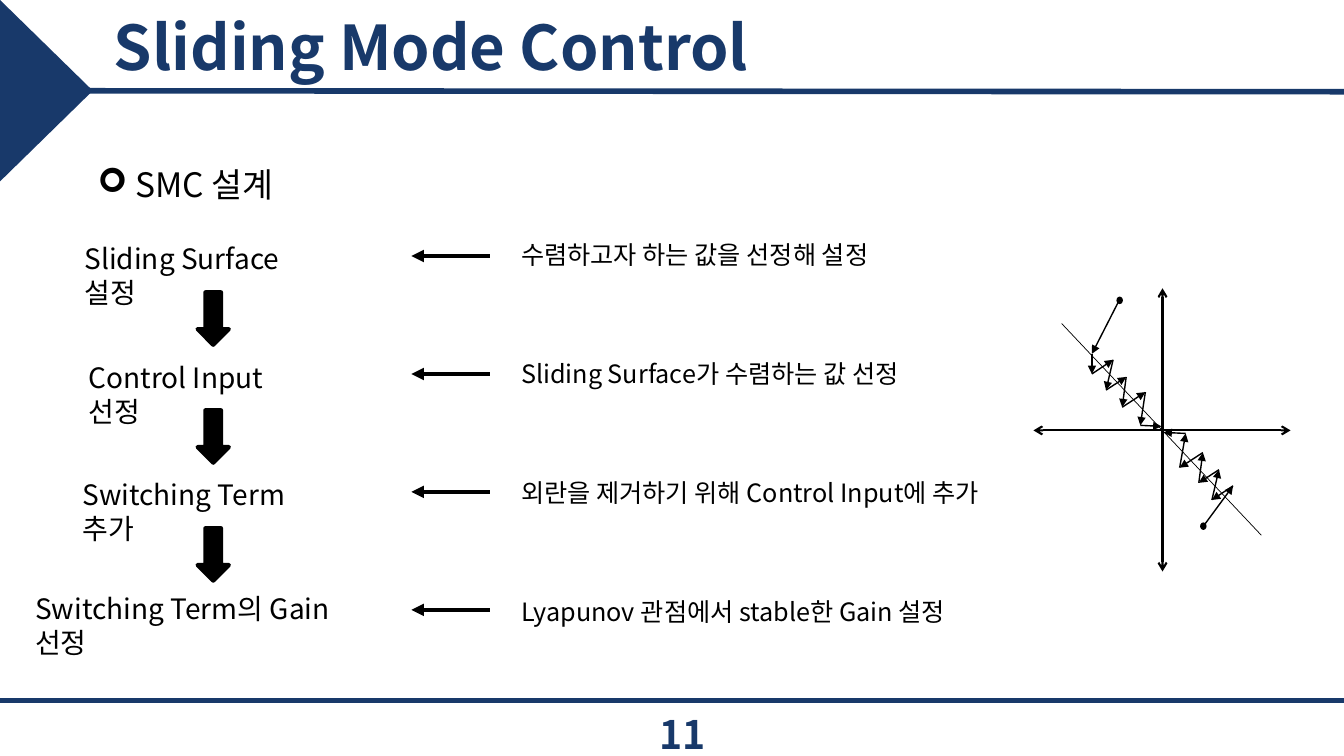
"""Builds the Sliding Mode Control design slide."""
from itertools import pairwise

from lxml import etree
from pptx import Presentation
from pptx import util as u
from pptx.dml.color import RGBColor
from pptx.enum import shapes, text
from pptx.oxml import ns

PX = 9144
FONT = "Noto Sans CJK KR"
NAVY, BLACK = "18396A", "000000"


def write(sp, lines, size, color=BLACK, bold=False, align=text.PP_ALIGN.LEFT, anchor=text.MSO_ANCHOR.TOP):
    tf = sp.text_frame
    tf.word_wrap = True
    tf.auto_size = text.MSO_AUTO_SIZE.NONE
    tf.vertical_anchor = anchor
    p = tf.paragraphs[0]
    p.alignment = align
    for i, line in enumerate(lines):
        if i:
            p.add_line_break()
        r = p.add_run()
        r.text = line
        r.font.size = u.Pt(size)
        r.font.bold = bold
        r.font.color.rgb = RGBColor.from_string(color)
        r.font.name = FONT
        etree.SubElement(r.font._element, ns.qn("a:ea"), typeface=FONT)
    return p


def connect(parent, start, end, width, color=BLACK, **ends):
    c = parent.add_connector(shapes.MSO_CONNECTOR.STRAIGHT, *(v * PX for v in (*start, *end)))
    c.line.color.rgb = RGBColor.from_string(color)
    c.line.width = u.Pt(width)
    ln = c.line._get_or_add_ln()
    for tag, kind in ends.items():
        etree.SubElement(ln, ns.qn(f"a:{tag}"), type=kind)
    etree.SubElement(c._element.spPr, ns.qn("a:effectLst"))


prs = Presentation()
prs.slide_width, prs.slide_height = 1333 * PX, 750 * PX
s = prs.slides.add_slide(prs.slide_layouts[5])

connect(s.shapes, (1333, 695), (0, 695), 4, NAVY)
corner = s.shapes.add_shape(shapes.MSO_SHAPE.ISOSCELES_TRIANGLE, -44 * PX, 44 * PX, 180 * PX, 92 * PX)
corner.rotation = 90
corner.shadow.inherit = False
corner.fill.solid()
corner.fill.fore_color.rgb = RGBColor.from_string(NAVY)
corner.line.fill.background()
connect(s.shapes, (0, 90), (1333, 91), 4, NAVY)

title = s.shapes.title
title.left, title.top, title.width, title.height = 103 * PX, 10 * PX, 1150 * PX, 80 * PX
p = write(title, ["Sliding Mode Control"], 44, NAVY, True, anchor=text.MSO_ANCHOR.MIDDLE)
p.line_spacing = 0.9

number = s.shapes.add_textbox(527 * PX, 708 * PX, 300 * PX, 40 * PX)
write(number, ["11"], 28, NAVY, True, text.PP_ALIGN.CENTER, text.MSO_ANCHOR.MIDDLE)

heading = s.shapes.add_textbox(87 * PX, 138 * PX, 772 * PX, 539 * PX)
p = write(heading, [" SMC 설계"], 24)
p.line_spacing = 1.5
pPr = p._p.get_or_add_pPr()
pPr.set("marL", str(25 * PX))
pPr.set("indent", str(-25 * PX))
etree.SubElement(pPr, ns.qn("a:buFont"), typeface="Wingdings")
etree.SubElement(pPr, ns.qn("a:buChar"), char="➢")

steps = [
    (74, 235, 276, ["Sliding Surface", "설정"]),
    (78, 353, 256, ["Control Input", "선정"]),
    (72, 469, 279, ["Switching Term", "추가"]),
    (25, 582, 374, ["Switching Term의 Gain", "선정"]),
]
flow = s.shapes.add_group_shape().shapes
for x, y, w, lines in steps:
    write(flow.add_textbox(x * PX, y * PX, w * PX, 44 * PX), lines, 20)
for i in range(len(steps) - 1):
    sp = flow.add_shape(shapes.MSO_SHAPE.DOWN_ARROW, 196 * PX, (290 + 117 * i) * PX, 31 * PX, 52 * PX)
    sp.shadow.inherit = False
    sp.fill.solid()
    sp.fill.fore_color.rgb = sp.line.color.rgb = RGBColor.from_string(BLACK)
    sp.line.width = u.Pt(3)

notes = [
    (409, "수렴하고자 하는 값을 선정해 설정"),
    (419, "Sliding Surface가 수렴하는 값 선정"),
    (530, "외란을 제거하기 위해 Control Input에 추가"),
    (478, "Lyapunov 관점에서 stable한 Gain 설정"),
]
for i, (w, note) in enumerate(notes):
    y = 254 + 117 * i
    connect(s.shapes, (486, y), (408, y), 3, tailEnd="triangle")
    write(s.shapes.add_textbox(507 * PX, (233 + 118 * i) * PX, w * PX, 40 * PX), [note], 18)

plane = s.shapes.add_group_shape().shapes
for start, end in [((1025, 427), (1280, 427)), ((1153, 286), (1153, 567))]:
    connect(plane, start, end, 1.5, headEnd="arrow", tailEnd="arrow")
connect(plane, (1053, 321), (1251, 531), 0.5)

for x, y in [(1108, 295), (1191, 519)]:
    sp = plane.add_shape(shapes.MSO_SHAPE.FLOWCHART_CONNECTOR, x * PX, y * PX, 5 * PX, 6 * PX)
    sp.shadow.inherit = False
    sp.fill.solid()
    sp.fill.fore_color.rgb = sp.line.color.rgb = RGBColor.from_string(BLACK)
    sp.line.width = u.Pt(1)

trajectories = [
    [(1109, 300), (1083, 351), (1083, 371), (1104, 357), (1097, 387), (1117, 374),
     (1113, 404), (1136, 389), (1131, 422), (1152, 423)],
    [(1195, 520), (1223, 482), (1202, 496), (1209, 466), (1189, 479), (1193, 449),
     (1170, 464), (1176, 430), (1154, 429)],
]
for points in trajectories:
    for start, end in pairwise(points):
        connect(plane, start, end, 1, tailEnd="triangle")

prs.save("out.pptx")
